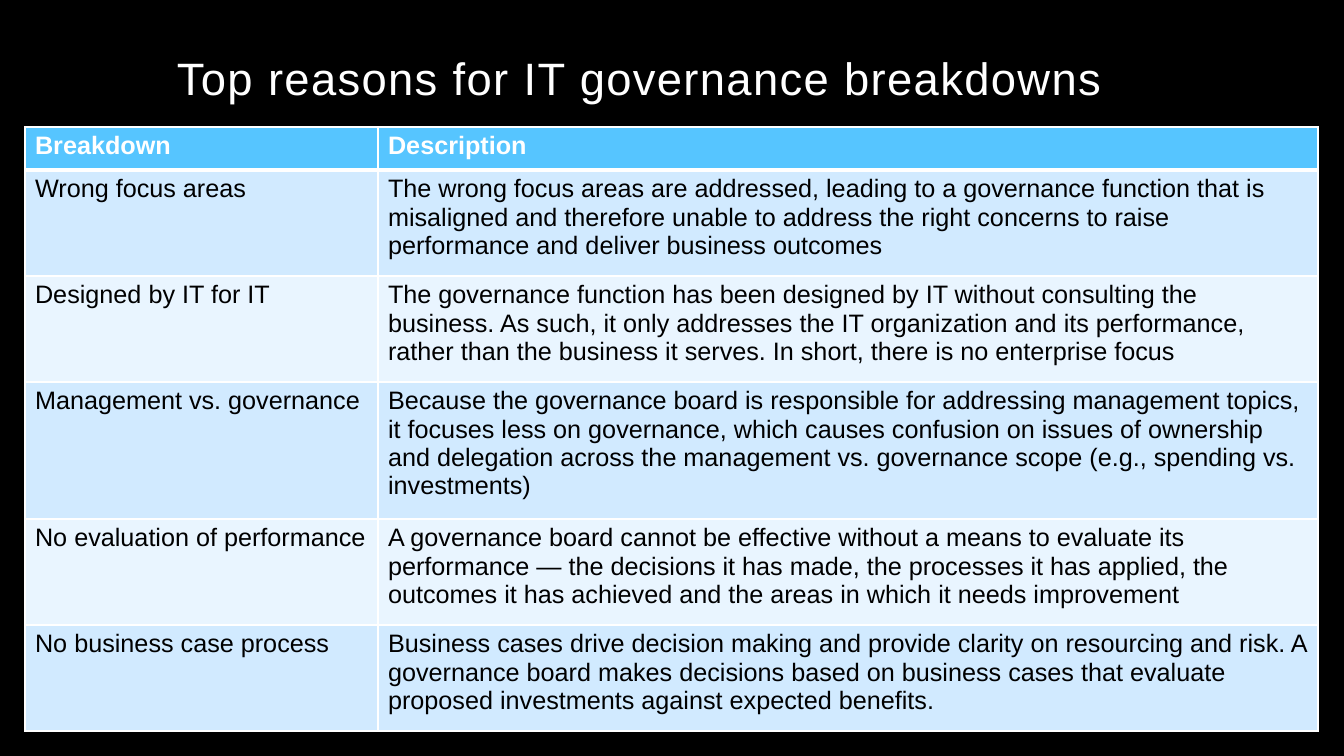
from dataclasses import dataclass

from lxml.etree import SubElement
from pptx import Presentation
from pptx.dml.color import RGBColor as Color
from pptx.enum.text import MSO_ANCHOR as Anchor
from pptx.oxml.ns import qn
from pptx.util import Pt

TITLE = "Top reasons for IT governance breakdowns"
HEADER = ("Breakdown", ["Description"])
BREAKDOWNS = [
    ("Wrong focus areas", [
        "The wrong focus areas are addressed, leading to a governance function that is "
        "misaligned and therefore unable to address the right concerns to raise "
        "performance and deliver business outcomes"]),
    ("Designed by IT for IT", [
        "The governance function has been designed by IT without consulting the "
        "business. As such, it only addresses the IT organization and its performance, "
        "rather than the business it serves. In short, there is no enterprise focus"]),
    ("Management vs. governance", [
        "Because the governance board is responsible for addressing management topics, "
        "it focuses less on governance, which causes confusion on issues of ownership "
        "and delegation across the management vs. governance scope (e.g., spending vs. "
        "investments)"]),
    ("No evaluation of performance", [
        "A governance board cannot be effective without a means to evaluate its",
        "performance — the decisions it has made, the processes it has applied, the "
        "outcomes it has achieved and the areas in which it needs improvement"]),
    ("No business case process", [
        "Business cases drive decision making and provide clarity on resourcing and risk. A "
        "governance board makes decisions based on business cases that evaluate "
        "proposed investments against expected benefits."]),
]


@dataclass(frozen=True)
class Theme:
    font: str = "Arial"
    background: str = "000000"
    light_text: str = "FFFFFF"
    dark_text: str = "000000"
    border: str = "FFFFFF"
    header_fill: str = "56C5FF"
    band_fills: tuple = ("D1EAFF", "E9F5FF")
    title_size: float = 32.4
    table_size: int = 18
    title_spacing: int = 1
    thin: int = 1
    thick: int = 3


THEME = Theme()
EMU_PER_PX = 914400 / 100.8
SLIDE_SIZE = (1344, 756)
TITLE_BOX = (167, 42, 1008, 68)
TABLE_ORIGIN = (25, 127)
COLUMN_WIDTHS = (353, 940)
HEADER_HEIGHT = 43
ROW_HEIGHTS = (106, 106, 137, 106, 106)


def px(length):
    return round(length * EMU_PER_PX)


def add_run(paragraph, text, size, color, bold=False):
    run = paragraph.add_run()
    run.text = text
    font = run.font
    font.name, font.size, font.bold = THEME.font, Pt(size), bold
    font.color.rgb = Color.from_string(color)
    return run


def set_borders(cell, widths):
    properties = cell._tc.get_or_add_tcPr()
    for side, width in zip("LRTB", widths):
        line = SubElement(properties, qn(f"a:ln{side}"), w=str(Pt(width)))
        fill = SubElement(line, qn("a:solidFill"))
        SubElement(fill, qn("a:srgbClr"), val=THEME.border)


def fill_cell(cell, texts, row):
    is_header = row == 0
    top = THEME.thick if row == 1 else THEME.thin
    bottom = THEME.thick if is_header else THEME.thin
    set_borders(cell, (THEME.thin, THEME.thin, top, bottom))
    fill = THEME.header_fill if is_header else THEME.band_fills[(row - 1) % 2]
    cell.fill.solid()
    cell.fill.fore_color.rgb = Color.from_string(fill)
    color = THEME.light_text if is_header else THEME.dark_text
    frame = cell.text_frame
    for index, text in enumerate(texts):
        paragraph = frame.add_paragraph() if index else frame.paragraphs[0]
        add_run(paragraph, text, THEME.table_size, color, is_header)


def add_title(slide):
    frame = slide.shapes.add_textbox(*map(px, TITLE_BOX)).text_frame
    frame.word_wrap = True
    frame.vertical_anchor = Anchor.BOTTOM
    paragraph = frame.paragraphs[0]
    paragraph.line_spacing = 0.9
    run = add_run(paragraph, TITLE, THEME.title_size, THEME.light_text)
    run.font._element.set("spc", str(THEME.title_spacing * 100))


def add_breakdown_table(slide):
    rows = [HEADER, *BREAKDOWNS]
    heights = (HEADER_HEIGHT, *ROW_HEIGHTS)
    size = (sum(COLUMN_WIDTHS), sum(heights))
    table = slide.shapes.add_table(
        len(rows), len(COLUMN_WIDTHS), *map(px, TABLE_ORIGIN + size)).table
    for column, width in zip(table.columns, COLUMN_WIDTHS):
        column.width = px(width)
    for row, ((name, description), height) in enumerate(zip(rows, heights)):
        table.rows[row].height = px(height)
        fill_cell(table.cell(row, 0), [name], row)
        fill_cell(table.cell(row, 1), description, row)


def main():
    presentation = Presentation()
    presentation.slide_width, presentation.slide_height = map(px, SLIDE_SIZE)
    slide = presentation.slides.add_slide(presentation.slide_layouts[6])
    background = slide.background.fill
    background.solid()
    background.fore_color.rgb = Color.from_string(THEME.background)
    add_breakdown_table(slide)
    add_title(slide)
    presentation.save("out.pptx")


if __name__ == "__main__":
    main()
